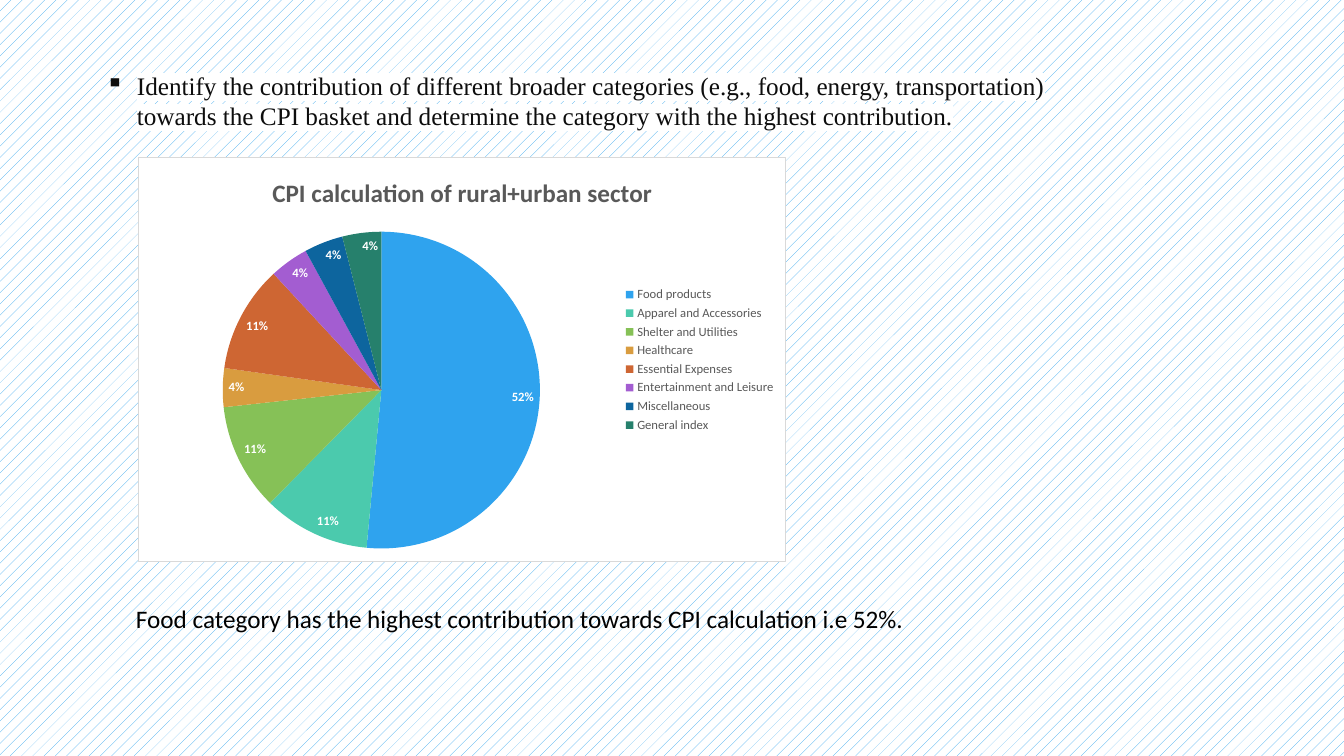
from pptx import Presentation
from pptx import util as u
from pptx.chart.data import CategoryChartData
from pptx.dml.color import RGBColor
from pptx.enum import chart as ch, dml, text
from pptx.oxml import parse_xml
from pptx.oxml.ns import nsdecls, qn

SECTORS = [
    ("Food products", 52, "2FA3EE"),
    ("Apparel and Accessories", 11, "4BCAAD"),
    ("Shelter and Utilities", 11, "86C157"),
    ("Healthcare", 4, "D99C3F"),
    ("Essential Expenses", 11, "CE6633"),
    ("Entertainment and Leisure", 4, "A35DD1"),
    ("Miscellaneous", 4, "0D659E"),
    ("General index", 4, "26806C"),
]


def rgb(value):
    return RGBColor.from_string(value)


def style_font(font, size, color, name="Calibri", bold=False):
    font.size, font.name, font.bold = u.Pt(size), name, bold
    font.color.rgb = rgb(color)


def add_background(slide):
    fill = slide.background.fill
    fill.patterned()
    fill.pattern = dml.MSO_PATTERN.PERCENT_10
    fill.fore_color.rgb = rgb("2FA3EE")
    fill.back_color.rgb = rgb("FFFFFF")


def add_text(slide, box, content, color, font="Calibri"):
    tf = slide.shapes.add_textbox(*map(u.Inches, box)).text_frame
    tf.word_wrap = True
    tf.auto_size = text.MSO_AUTO_SIZE.SHAPE_TO_FIT_TEXT
    p = tf.paragraphs[0]
    p.text = content
    style_font(p.runs[0].font, 18, color, font)
    return p


def add_question(slide, box, content):
    p = add_text(slide, box, content, "0D0D0D", "Times New Roman")
    # Hanging bullet
    pPr = p._p.get_or_add_pPr()
    pPr.set("marL", str(u.Inches(0.31)))
    pPr.set("indent", str(u.Inches(-0.31)))
    pPr.append(parse_xml(f'<a:buChar {nsdecls("a")} char="▪"/>'))
    # White highlight behind the words
    rPr = p.runs[0]._r.get_or_add_rPr()
    rPr.find(qn("a:solidFill")).addnext(parse_xml(
        f'<a:highlight {nsdecls("a")}><a:srgbClr val="FFFFFF"/></a:highlight>'))


def add_cpi_chart(slide, box):
    names, values, colors = zip(*SECTORS)
    data = CategoryChartData()
    data.categories = names
    data.add_series("Series 1", values)
    chart = slide.shapes.add_chart(
        ch.XL_CHART_TYPE.PIE, *map(u.Inches, box), data).chart
    style_font(chart.font, 10, "000000")

    # Title
    chart.has_title = True
    title = chart.chart_title
    title.include_in_layout = False
    p = title.text_frame.paragraphs[0]
    p.text = "CPI calculation of rural+urban sector"
    style_font(p.runs[0].font, 18, "595959", bold=True)

    # Legend
    chart.has_legend = True
    chart.legend.position = ch.XL_LEGEND_POSITION.RIGHT
    chart.legend.include_in_layout = False
    style_font(chart.legend.font, 9, "595959")

    # Slices and labels
    plot = chart.plots[0]
    plot.vary_by_categories = True
    for i, color in enumerate(colors):
        fill = plot.series[0].points[i].format.fill
        fill.solid()
        fill.fore_color.rgb = rgb(color)
    plot.has_data_labels = True
    labels = plot.data_labels
    labels.show_value, labels.show_percentage = True, False
    labels.number_format, labels.number_format_is_linked = '0"%"', False
    labels.position = ch.XL_LABEL_POSITION.INSIDE_END
    style_font(labels.font, 9, "FFFFFF", bold=True)

    # Place of the pie inside the chart
    area = chart._chartSpace.chart.plotArea
    for old in area.findall(qn("c:layout")):
        area.remove(old)
    area.insert(0, parse_xml(
        f'<c:layout {nsdecls("c")}><c:manualLayout><c:layoutTarget val="inner"/>'
        '<c:xMode val="edge"/><c:yMode val="edge"/><c:x val="0.13"/>'
        '<c:y val="0.18"/><c:w val="0.49"/><c:h val="0.79"/>'
        '</c:manualLayout></c:layout>'))

    # White card with a thin border
    chart._chartSpace.chart.addnext(parse_xml(
        f'<c:spPr {nsdecls("c", "a")}><a:solidFill><a:srgbClr val="FFFFFF"/>'
        f'</a:solidFill><a:ln w="{u.Pt(0.75)}"><a:solidFill>'
        '<a:srgbClr val="D9D9D9"/></a:solidFill></a:ln></c:spPr>'))


def main():
    prs = Presentation()
    prs.slide_width, prs.slide_height = u.Inches(13.33), u.Inches(7.5)
    slide = prs.slides.add_slide(prs.slide_layouts[6])
    add_background(slide)
    add_cpi_chart(slide, (1.37, 1.56, 6.43, 4.02))
    add_question(
        slide, (0.95, 0.65, 9.53, 0.71),
        "Identify the contribution of different broader categories "
        "(e.g., food, energy, transportation) towards the CPI basket and "
        "determine the category with the highest contribution.")
    add_text(
        slide, (1.25, 5.94, 8.93, 0.71),
        "Food category has the highest contribution towards CPI calculation "
        "i.e 52%.", "000000")
    prs.save("out.pptx")


if __name__ == "__main__":
    main()
